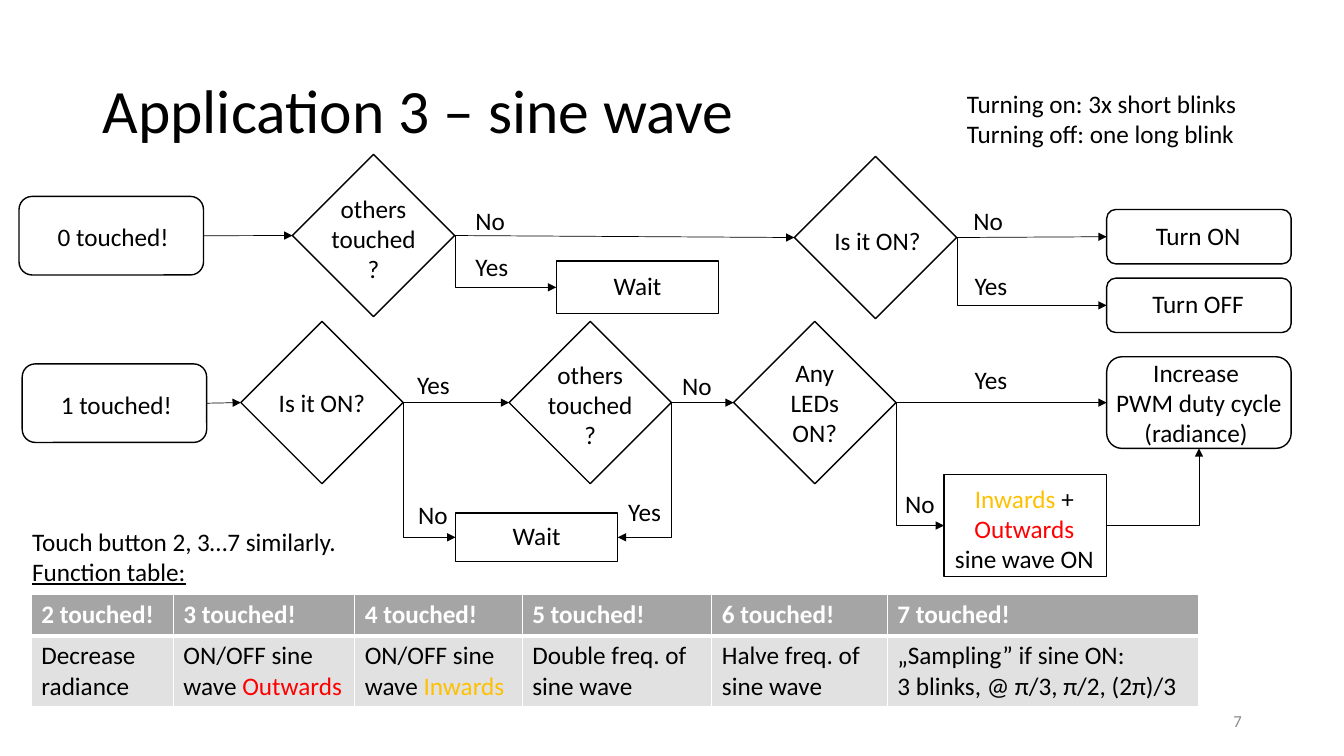
"""Build the sine wave touch-button flowchart slide with its function table."""
from dataclasses import dataclass
from typing import Any, NamedTuple

from lxml import etree
from pptx import Presentation
from pptx import util as u
from pptx.dml.color import RGBColor
from pptx.enum import shapes, text
from pptx.oxml.ns import qn


@dataclass(frozen=True)
class Theme:
    font: str = "Calibri"
    title_size: float = 44
    body_size: float = 18
    number_size: float = 12
    box_line: float = 1
    flow_line: float = 0.5
    header_line: float = 3
    ink: str = "000000"
    paper: str = "FFFFFF"
    muted: str = "8C8C8C"
    header: str = "A5A5A5"
    body: str = "E1E1E1"
    inwards: str = "FFC000"
    outwards: str = "FF0000"


class Node(NamedTuple):
    name: str
    kind: Any
    content: str
    left: float
    top: float
    width: float
    height: float
    drop: float = 0
    margins: tuple[float, float] = (0, 0)


class Label(NamedTuple):
    content: str
    left: float
    top: float
    width: float = 1.55
    height: float = 1.02


class Flow(NamedTuple):
    start: str
    end: str


class Column(NamedTuple):
    width: float
    heading: str
    effect: str


THEME = Theme()
WORD_COLOURS = {"Inwards": THEME.inwards, "Outwards": THEME.outwards}
RECTANGLE = shapes.MSO_SHAPE.RECTANGLE
ROUNDED = shapes.MSO_SHAPE.ROUNDED_RECTANGLE
DIAMOND = shapes.MSO_SHAPE.DIAMOND
SIDE = 4.09
LOWER_ROW = 8.1
OTHERS = "others|\v|touched|\v|?"
NUDGE = (0.1, 0)

NODES = [
    Node("zero", ROUNDED, "0 touched!", 0.48, 4.95, 4.65, 1.98, 0.05, NUDGE),
    Node("zero others", DIAMOND, OTHERS, 7.37, 3.89, SIDE, SIDE, 0.15),
    Node("zero wait", RECTANGLE, "Wait", 14.02, 6.58, SIDE, 1.32, -0.1),
    Node("zero is on", DIAMOND, "Is it ON?", 20.02, 3.94, SIDE, SIDE, 0.15, NUDGE),
    Node("turn on", ROUNDED, "Turn ON ", 27.89, 5.28, 4.65, 1.37, -0.05, NUDGE),
    Node("turn off", ROUNDED, "Turn OFF ", 27.89, 7.01, 4.65, 1.37, -0.1, NUDGE),
    Node("one", ROUNDED, "1 touched!", 0.56, 9.17, 4.65, 1.98, 0.05, NUDGE),
    Node("one is on", DIAMOND, "Is it ON?", 6.07, LOWER_ROW, SIDE, SIDE),
    Node("one others", DIAMOND, OTHERS, 12.83, LOWER_ROW, SIDE, SIDE, 0.1),
    Node("one wait", RECTANGLE, "Wait", 11.48, 12.93, SIDE, 1.22, -0.1),
    Node("any leds", DIAMOND, "Any|\v|LEDs|\v|ON?", 18.49, LOWER_ROW, SIDE, SIDE),
    Node("increase", ROUNDED, "Increase \nPWM duty cycle (radiance) ",
         27.89, 8.99, 4.65, 2.31),
    Node("waves", RECTANGLE, "Inwards |+ |Outwards |sine wave ON",
         23.79, 11.96, SIDE, 2.57, 0.15, (0.25, 0.29)),
]
STRAIGHT_FLOWS = [
    Flow("zero", "zero others"), Flow("zero others", "zero is on"),
    Flow("zero is on", "turn on"), Flow("one", "one is on"),
    Flow("one is on", "one others"), Flow("one others", "any leds"),
    Flow("any leds", "increase"),
]
BENT_FLOWS = [
    Flow("zero others", "zero wait"), Flow("zero is on", "turn off"),
    Flow("one is on", "one wait"), Flow("one others", "one wait"),
    Flow("any leds", "waves"),
]
LABELS = [
    Label("No", 11.73, 5.05), Label("Yes", 11.73, 6.2),
    Label("No", 24.28, 5.05), Label("Yes", 24.31, 6.68),
    Label("Yes", 10.26, 9.19), Label("No", 10.29, 12.45),
    Label("No", 16.94, 9.2), Label("Yes", 15.58, 12.38),
    Label("Yes", 24.31, 9.05), Label("No", 22.56, 12.17),
    Label("Turning on: 3x short blinks\nTurning off: one long blink",
          24.12, 2.1, 8.51, 1.8),
]
COLUMNS = [
    Column(3.58, "2 touched!", "Decrease radiance"),
    Column(4.57, "3 touched!", "ON/OFF sine wave |Outwards"),
    Column(4.22, "4 touched!", "ON/OFF sine wave |Inwards"),
    Column(4.78, "5 touched!", "Double freq. of\nsine wave"),
    Column(4.42, "6 touched!", "Halve freq. of\nsine wave"),
    Column(7.85, "7 touched!", "„Sampling” if sine ON:\n3 blinks, @ π/3, π/2, (2π)/3"),
]


def apply(target: Any, formats: dict[str, Any]) -> None:
    for name, value in formats.items():
        setattr(target, name, value)


def write(frame: Any, content: str, colour: str = THEME.ink,
          size: float = THEME.body_size, bold: bool = False,
          align: Any = text.PP_ALIGN.LEFT) -> None:
    for index, line in enumerate(content.split("\n")):
        paragraph = frame.add_paragraph() if index else frame.paragraphs[0]
        paragraph.alignment = align
        for piece in line.split("|"):
            if piece == "\v":
                paragraph.add_line_break()
                continue
            run = paragraph.add_run()
            run.text = piece
            apply(run.font, {"name": THEME.font, "size": u.Pt(size), "bold": bold})
            run.font.color.rgb = RGBColor.from_string(
                WORD_COLOURS.get(piece.strip(), colour))


def draw_label(slide: Any, label: Label, **formats: Any) -> Any:
    shape = slide.shapes.add_textbox(*map(u.Cm, label[1:]))
    shape.text_frame.word_wrap = True
    write(shape.text_frame, label.content, **formats)
    return shape


def draw_node(slide: Any, node: Node) -> Any:
    shape = slide.shapes.add_shape(node.kind, *map(u.Cm, node[3:7]))
    shape.shadow.inherit = False
    shape.fill.background()
    shape.line.width = u.Pt(THEME.box_line)
    shape.line.color.rgb = RGBColor.from_string(THEME.ink)
    left, right = map(u.Cm, node.margins)
    apply(shape.text_frame, {
        "word_wrap": node.kind != DIAMOND, "margin_left": left, "margin_right": right,
        "margin_top": u.Cm(max(node.drop, 0)), "margin_bottom": u.Cm(max(-node.drop, 0)),
        "vertical_anchor": text.MSO_ANCHOR.MIDDLE})
    write(shape.text_frame, node.content, align=text.PP_ALIGN.CENTER)
    return shape


def draw_arrow(slide: Any, kind: Any, *ends: int) -> Any:
    connector = slide.shapes.add_connector(kind, *ends)
    connector.line.width = u.Pt(THEME.flow_line)
    connector.line.color.rgb = RGBColor.from_string(THEME.ink)
    properties = connector.element.spPr
    etree.SubElement(properties.find(qn("a:ln")), qn("a:tailEnd"), type="triangle")
    etree.SubElement(properties, qn("a:effectLst"))
    return connector


def draw_straight(slide: Any, start: Any, end: Any) -> None:
    connector = draw_arrow(slide, shapes.MSO_CONNECTOR.STRAIGHT,
                           start.left + start.width, start.top, end.left, end.top)
    connector.begin_connect(start, 3)
    connector.end_connect(end, 1)


def draw_bent(slide: Any, start: Any, end: Any) -> None:
    right = start.left + start.width
    target = end.left if end.left > right else end.left + end.width
    connector = draw_arrow(slide, shapes.MSO_CONNECTOR.ELBOW, right,
                           start.top + start.height // 2, target,
                           end.top + end.height // 2)
    guides = connector.element.spPr.find(qn("a:prstGeom")).get_or_add_avLst()
    etree.SubElement(guides, qn("a:gd"), name="adj1", fmla="val 400")


def draw_return(slide: Any, start: Any, end: Any) -> None:
    connector = draw_arrow(slide, shapes.MSO_CONNECTOR.ELBOW,
                           start.left + start.width, start.top + start.height // 2,
                           end.left + end.width // 2, end.top + end.height)
    connector.element.spPr.find(qn("a:prstGeom")).set("prst", "bentConnector2")


def draw_border(cell: Any, side: str) -> None:
    border = etree.Element(qn(side), w=str(u.Pt(THEME.header_line)))
    fill = etree.SubElement(border, qn("a:solidFill"))
    etree.SubElement(fill, qn("a:srgbClr"), val=THEME.paper)
    cell.fill.solid()
    cell._tc.tcPr.insert(0, border)


def draw_table(slide: Any) -> None:
    width = sum(column.width for column in COLUMNS)
    table = slide.shapes.add_table(
        2, len(COLUMNS), *map(u.Cm, (0.79, 14.99, width, 2.82))).table
    for row, height in zip(table.rows, (1.03, 1.79)):
        row.height = u.Cm(height)
    for index, column in enumerate(COLUMNS):
        table.columns[index].width = u.Cm(column.width)
        for row, (content, fill, colour, side) in enumerate((
                (column.heading, THEME.header, THEME.paper, "a:lnB"),
                (column.effect, THEME.body, THEME.ink, "a:lnT"))):
            cell = table.cell(row, index)
            draw_border(cell, side)
            cell.fill.fore_color.rgb = RGBColor.from_string(fill)
            write(cell.text_frame, content, colour, bold=row == 0)


def main() -> None:
    presentation = Presentation()
    apply(presentation, {"slide_width": u.Cm(33.87), "slide_height": u.Cm(19.05)})
    slide = presentation.slides.add_slide(presentation.slide_layouts[5])
    title = slide.shapes.title
    apply(title, {"left": u.Cm(2.33), "top": u.Cm(1.01),
                  "width": u.Cm(29.21), "height": u.Cm(3.68)})
    title.text_frame.vertical_anchor = text.MSO_ANCHOR.MIDDLE
    write(title.text_frame, "Application 3 – sine wave", size=THEME.title_size)
    title.text_frame.paragraphs[0].line_spacing = 0.9
    drawn = {node.name: draw_node(slide, node) for node in NODES}
    for flow in STRAIGHT_FLOWS:
        draw_straight(slide, drawn[flow.start], drawn[flow.end])
    for flow in BENT_FLOWS:
        draw_bent(slide, drawn[flow.start], drawn[flow.end])
    draw_return(slide, drawn["waves"], drawn["increase"])
    for label in LABELS:
        draw_label(slide, label)
    draw_table(slide)
    note = draw_label(slide, Label(
        "Touch button 2, 3…7 similarly.\nFunction table:", 0.56, 13.13, 9.02, 1.8))
    note.text_frame.paragraphs[1].runs[0].font.underline = True
    number = draw_label(slide, Label("7", 23.93, 17.65, 7.62, 1.02),
                        colour=THEME.muted, size=THEME.number_size,
                        align=text.PP_ALIGN.RIGHT)
    number.text_frame.vertical_anchor = text.MSO_ANCHOR.MIDDLE
    presentation.save("out.pptx")


if __name__ == "__main__":
    main()
